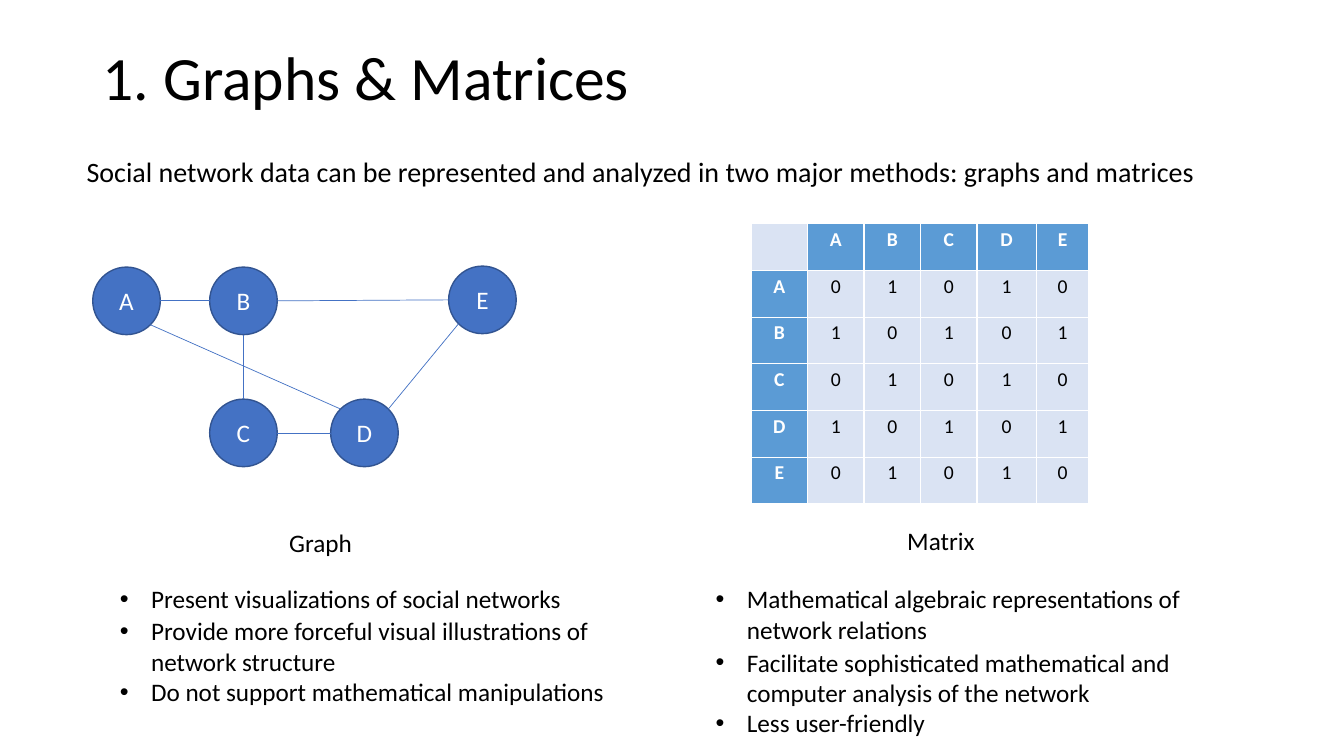
from dataclasses import dataclass
from math import hypot

from lxml.etree import SubElement
from pptx import Presentation
from pptx.dml.color import RGBColor
from pptx.enum.shapes import MSO_CONNECTOR as Connector, MSO_SHAPE as Shape
from pptx.enum.text import MSO_ANCHOR as Anchor, PP_ALIGN as Align
from pptx.oxml.ns import qn
from pptx.util import Inches, Pt

FONT = "Calibri"
BLACK, WHITE = "000000", "FFFFFF"
NODE_FILL, NODE_LINE = "4472C4", "325491"
HEADER_FILL, CELL_FILL = "5B9BD5", "DAE3F3"
NODE_SIZE = 0.67
BULLET_INDENT = 0.31


@dataclass(frozen=True)
class Node:
    label: str
    left: float
    top: float

    def rim(self, toward: tuple[int, int]) -> tuple[float, float]:
        """Point on the circle in a compass direction, such as (1, 0) for right."""
        dx, dy = toward
        radius = NODE_SIZE / 2
        reach = radius / hypot(dx, dy)
        return self.left + radius + reach * dx, self.top + radius + reach * dy


@dataclass(frozen=True)
class Edge:
    start: str
    leaving: tuple[int, int]
    end: str
    entering: tuple[int, int]


@dataclass(frozen=True)
class TextBlock:
    left: float
    top: float
    width: float
    height: float
    lines: tuple[str, ...]
    size: int = 18
    bulleted: bool = False
    wrapped: bool = True
    anchor: Anchor = Anchor.TOP
    spacing: float = 1.0


NODES = {node.label: node for node in (
    Node("A", 0.92, 2.65),
    Node("B", 2.08, 2.65),
    Node("C", 2.08, 3.96),
    Node("D", 3.28, 3.96),
    Node("E", 4.45, 2.64),
)}

EDGES = (
    Edge("A", (1, 0), "B", (-1, 0)),
    Edge("C", (0, -1), "B", (0, 1)),
    Edge("C", (1, 0), "D", (-1, 0)),
    Edge("E", (-1, 0), "B", (1, 0)),
    Edge("E", (-1, 1), "D", (1, -1)),
    Edge("A", (1, 1), "D", (-1, -1)),
)

TEXTS = (
    TextBlock(0.92, 0.07, 11.5, 1.45, ("1. Graphs & Matrices",), 44,
              anchor=Anchor.MIDDLE, spacing=0.9),
    TextBlock(0.76, 1.48, 11.82, 0.44, (
        "Social network data can be represented and analyzed in two major "
        "methods: graphs and matrices",), 20),
    TextBlock(2.77, 5.18, 0.83, 0.4, ("Graph",), wrapped=False),
    TextBlock(8.9, 5.16, 0.87, 0.4, ("Matrix",), wrapped=False),
    TextBlock(1.09, 5.74, 5.02, 0.4,
              ("Present visualizations of social networks",), bulleted=True),
    TextBlock(7, 5.74, 5.24, 0.71,
              ("Mathematical algebraic representations of network relations",),
              bulleted=True),
    TextBlock(1.09, 6.06, 5.02, 1.01, (
        "Provide more forceful visual illustrations of network structure",
        "Do not support mathematical manipulations"), bulleted=True),
    TextBlock(7, 6.37, 5.24, 1.01, (
        "Facilitate sophisticated mathematical and computer analysis of the network",
        "Less user-friendly"), bulleted=True),
)


def rgb(code: str) -> RGBColor:
    return RGBColor.from_string(code)


def add_run(paragraph, text: str, size: int, color: str, bold: bool = False) -> None:
    run = paragraph.add_run()
    run.text = text
    run.font.name = FONT
    run.font.size = Pt(size)
    run.font.bold = bold
    run.font.color.rgb = rgb(color)


def add_bullet(paragraph) -> None:
    properties = paragraph._p.get_or_add_pPr()
    properties.set("marL", str(Inches(BULLET_INDENT)))
    properties.set("indent", str(-Inches(BULLET_INDENT)))
    SubElement(properties, qn("a:buFont"), typeface="Arial")
    SubElement(properties, qn("a:buChar"), char="•")


def draw_text(slide, block: TextBlock) -> None:
    box = slide.shapes.add_textbox(Inches(block.left), Inches(block.top),
                                   Inches(block.width), Inches(block.height))
    frame = box.text_frame
    frame.word_wrap = block.wrapped
    frame.vertical_anchor = block.anchor
    for index, line in enumerate(block.lines):
        paragraph = frame.add_paragraph() if index else frame.paragraphs[0]
        paragraph.line_spacing = block.spacing
        if block.bulleted:
            add_bullet(paragraph)
        add_run(paragraph, line, block.size, BLACK)


def draw_node(slide, node: Node) -> None:
    circle = slide.shapes.add_shape(Shape.OVAL, Inches(node.left), Inches(node.top),
                                    Inches(NODE_SIZE), Inches(NODE_SIZE))
    circle.shadow.inherit = False
    circle.fill.solid()
    circle.fill.fore_color.rgb = rgb(NODE_FILL)
    circle.line.color.rgb = rgb(NODE_LINE)
    circle.line.width = Pt(1)
    circle.text_frame.vertical_anchor = Anchor.MIDDLE
    label = circle.text_frame.paragraphs[0]
    label.alignment = Align.CENTER
    add_run(label, node.label, 18, WHITE)


def draw_edge(slide, edge: Edge) -> None:
    start = NODES[edge.start].rim(edge.leaving)
    end = NODES[edge.end].rim(edge.entering)
    line = slide.shapes.add_connector(Connector.STRAIGHT,
                                      *(Inches(value) for value in start + end))
    line.line.color.rgb = rgb(NODE_FILL)
    line.line.width = Pt(0.5)
    SubElement(line._element.spPr, qn("a:effectLst"))


def adjacency_rows() -> list[list[str]]:
    """Matrix with headings, where 1 marks each pair of nodes joined by an edge."""
    joined = {frozenset((edge.start, edge.end)) for edge in EDGES}
    return [["", *NODES]] + [
        [row, *(str(int(frozenset((row, column)) in joined)) for column in NODES)]
        for row in NODES
    ]


def draw_matrix(slide) -> None:
    rows = adjacency_rows()
    widths = (0.56, 0.56, 0.56, 0.56, 0.59, 0.52)
    matrix = slide.shapes.add_table(len(rows), len(widths), Inches(7.45), Inches(2.22),
                                    Inches(sum(widths)), Inches(2.78)).table
    for column, width in zip(matrix.columns, widths):
        column.width = Inches(width)
    for i, row in enumerate(rows):
        for j, text in enumerate(row):
            heading = bool(text) and (i == 0 or j == 0)
            cell = matrix.cell(i, j)
            cell.fill.solid()
            cell.fill.fore_color.rgb = rgb(HEADER_FILL if heading else CELL_FILL)
            cell.margin_left = cell.margin_right = Inches(0.08)
            cell.margin_top = cell.margin_bottom = Inches(0.04)
            if text:
                entry = cell.text_frame.paragraphs[0]
                entry.alignment = Align.CENTER
                add_run(entry, text, 14, WHITE if heading else BLACK, heading)


def main() -> None:
    deck = Presentation()
    deck.slide_width, deck.slide_height = Inches(13.33), Inches(7.5)
    slide = deck.slides.add_slide(deck.slide_layouts[6])
    for node in NODES.values():
        draw_node(slide, node)
    for edge in EDGES:
        draw_edge(slide, edge)
    draw_matrix(slide)
    for block in TEXTS:
        draw_text(slide, block)
    deck.save("out.pptx")


if __name__ == "__main__":
    main()
